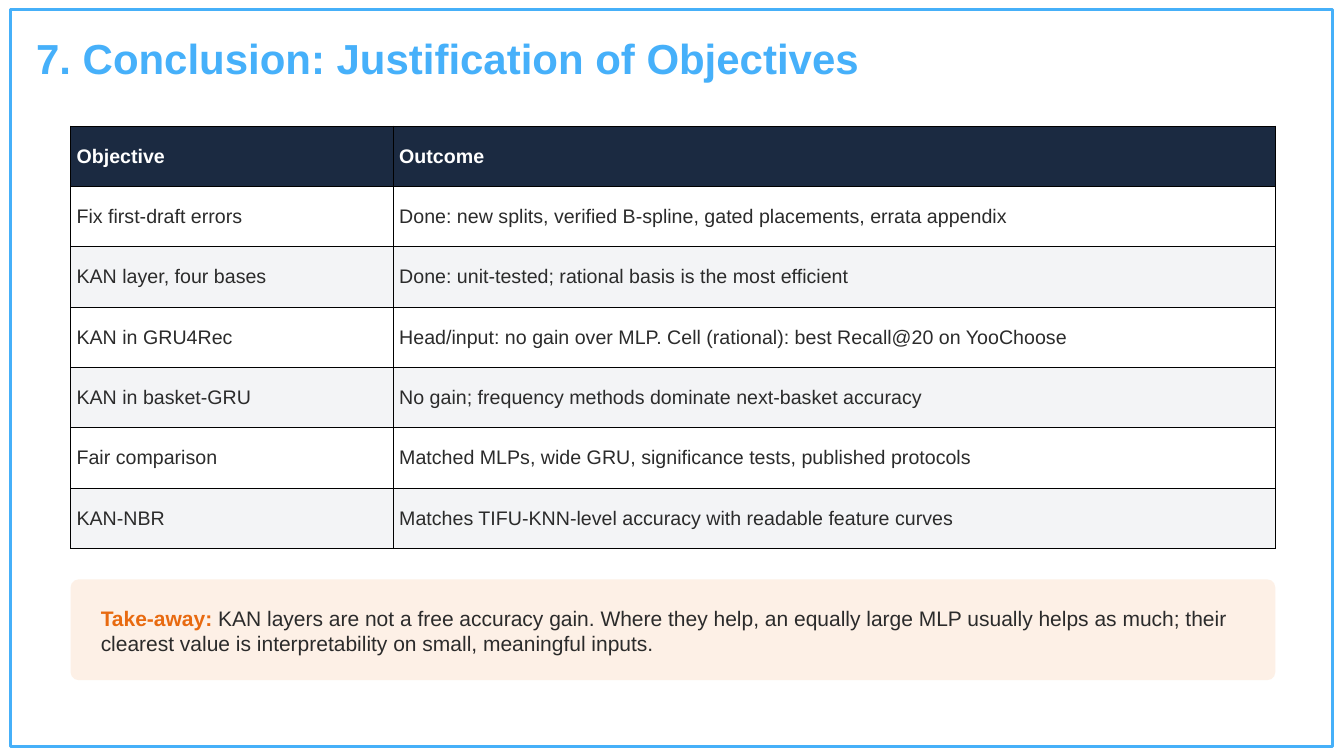
from dataclasses import dataclass

from lxml import etree
from pptx import Presentation
from pptx import util as u
from pptx.dml.color import RGBColor
from pptx.enum import shapes, text
from pptx.oxml.ns import qn


@dataclass(frozen=True)
class Theme:
    font: str = "Arial"
    frame: str = "46B0F9"
    title: str = "46B0FA"
    navy: str = "1B2A41"
    ink: str = "2B2B2B"
    white: str = "FFFFFF"
    band: str = "F3F4F6"
    peach: str = "FDF0E6"
    orange: str = "E86A10"
    grid: str = "000000"
    title_size: float = 30
    table_size: float = 14
    body_size: float = 15


TITLE = "7. Conclusion: Justification of Objectives"
OBJECTIVES = [
    ("Objective", "Outcome"),
    ("Fix first-draft errors",
     "Done: new splits, verified B-spline, gated placements, errata appendix"),
    ("KAN layer, four bases",
     "Done: unit-tested; rational basis is the most efficient"),
    ("KAN in GRU4Rec",
     "Head/input: no gain over MLP. Cell (rational): best Recall@20 on YooChoose"),
    ("KAN in basket-GRU",
     "No gain; frequency methods dominate next-basket accuracy"),
    ("Fair comparison",
     "Matched MLPs, wide GRU, significance tests, published protocols"),
    ("KAN-NBR",
     "Matches TIFU-KNN-level accuracy with readable feature curves"),
]
TAKE_AWAY = (
    "KAN layers are not a free accuracy gain. Where they help, an equally large "
    "MLP usually helps as much; their clearest value is interpretability on "
    "small, meaningful inputs."
)


def rgb(value):
    return RGBColor.from_string(value)


def add_run(p, words, *, font, size, color, bold=False):
    r = p.add_run()
    r.text = words
    r.font.name = font
    r.font.size = u.Pt(size)
    r.font.bold = bold
    r.font.color.rgb = rgb(color)


def border_cell(cell, color, width):
    tc_pr = cell._tc.get_or_add_tcPr()
    for i, side in enumerate(("lnL", "lnR", "lnT", "lnB")):
        ln = etree.Element(qn(f"a:{side}"), w=str(u.Pt(width)))
        fill = etree.SubElement(ln, qn("a:solidFill"))
        etree.SubElement(fill, qn("a:srgbClr"), val=color)
        tc_pr.insert(i, ln)


class SlideBuilder:
    def __init__(self, prs, theme):
        self.theme = theme
        self.slide = prs.slides.add_slide(prs.slide_layouts[5])

    def place(self, sp, left, top, width, height):
        sp.left, sp.top = u.Cm(left), u.Cm(top)
        sp.width, sp.height = u.Cm(width), u.Cm(height)

    def set_text(self, tf, *runs, size):
        """Fill a frame with one left-aligned paragraph of (text, color, bold) runs."""
        tf.word_wrap = True
        tf.auto_size = text.MSO_AUTO_SIZE.NONE
        tf.vertical_anchor = text.MSO_ANCHOR.MIDDLE
        tf.margin_left = tf.margin_right = tf.margin_top = tf.margin_bottom = 0
        p = tf.paragraphs[0]
        p.alignment = text.PP_ALIGN.LEFT
        p.space_before, p.space_after = u.Pt(0), u.Pt(6)
        for words, color, bold in runs:
            add_run(p, words, font=self.theme.font, size=size, color=color, bold=bold)

    def title(self, words, *box):
        sp = self.slide.shapes.title
        self.place(sp, *box)
        self.set_text(sp.text_frame, (words, self.theme.title, True),
                      size=self.theme.title_size)

    def shape(self, kind, *box, fill=None, line=None, line_width=2.25, radius=None):
        sp = self.slide.shapes.add_shape(kind, *map(u.Cm, box))
        sp.shadow.inherit = False
        if radius is not None:
            sp.adjustments[0] = radius
        if fill:
            sp.fill.solid()
            sp.fill.fore_color.rgb = rgb(fill)
        else:
            sp.fill.background()
        if line:
            sp.line.color.rgb = rgb(line)
            sp.line.width = u.Pt(line_width)
        else:
            sp.line.fill.background()

    def text_box(self, *box, runs, size):
        sp = self.slide.shapes.add_textbox(*map(u.Cm, box))
        self.set_text(sp.text_frame, *runs, size=size)

    def table(self, rows, left, top, col_widths, row_height):
        frame = self.slide.shapes.add_table(
            len(rows), len(col_widths), u.Cm(left), u.Cm(top),
            u.Cm(sum(col_widths)), u.Cm(row_height * len(rows)))
        table = frame.table
        for column, width in zip(table.columns, col_widths):
            column.width = u.Cm(width)
        for i, row in enumerate(rows):
            table.rows[i].height = u.Cm(row_height)
            for j, words in enumerate(row):
                self.cell(table.cell(i, j), words, i)

    def cell(self, cell, words, row):
        t = self.theme
        header = row == 0
        cell.fill.solid()
        cell.fill.fore_color.rgb = rgb(
            t.navy if header else t.white if row % 2 else t.band)
        cell.vertical_anchor = text.MSO_ANCHOR.MIDDLE
        cell.margin_left = cell.margin_right = u.Cm(0.15)
        cell.margin_top = cell.margin_bottom = u.Cm(0.05)
        add_run(cell.text_frame.paragraphs[0], words, font=t.font, size=t.table_size,
                color=t.white if header else t.ink, bold=header)
        border_cell(cell, t.grid, 1)


def main():
    prs = Presentation()
    prs.slide_width, prs.slide_height = u.Cm(33.87), u.Cm(19.05)
    theme = Theme()
    s = SlideBuilder(prs, theme)
    left, width = 1.78, 30.36

    s.shape(shapes.MSO_SHAPE.RECTANGLE, 0.27, 0.24, 33.32, 18.57, line=theme.frame)
    s.title(TITLE, 0.91, 0.66, 26.42, 1.57)
    s.table(OBJECTIVES, left, 3.18, (8.13, width - 8.13), 1.52)
    s.shape(shapes.MSO_SHAPE.ROUNDED_RECTANGLE, left, 14.6, width, 2.54,
            fill=theme.peach, radius=0.08)
    s.text_box(2.54, 14.68, 28.96, 2.41, size=theme.body_size, runs=[
        ("Take-away: ", theme.orange, True),
        (TAKE_AWAY, theme.ink, False),
    ])
    prs.save("out.pptx")


if __name__ == "__main__":
    main()
